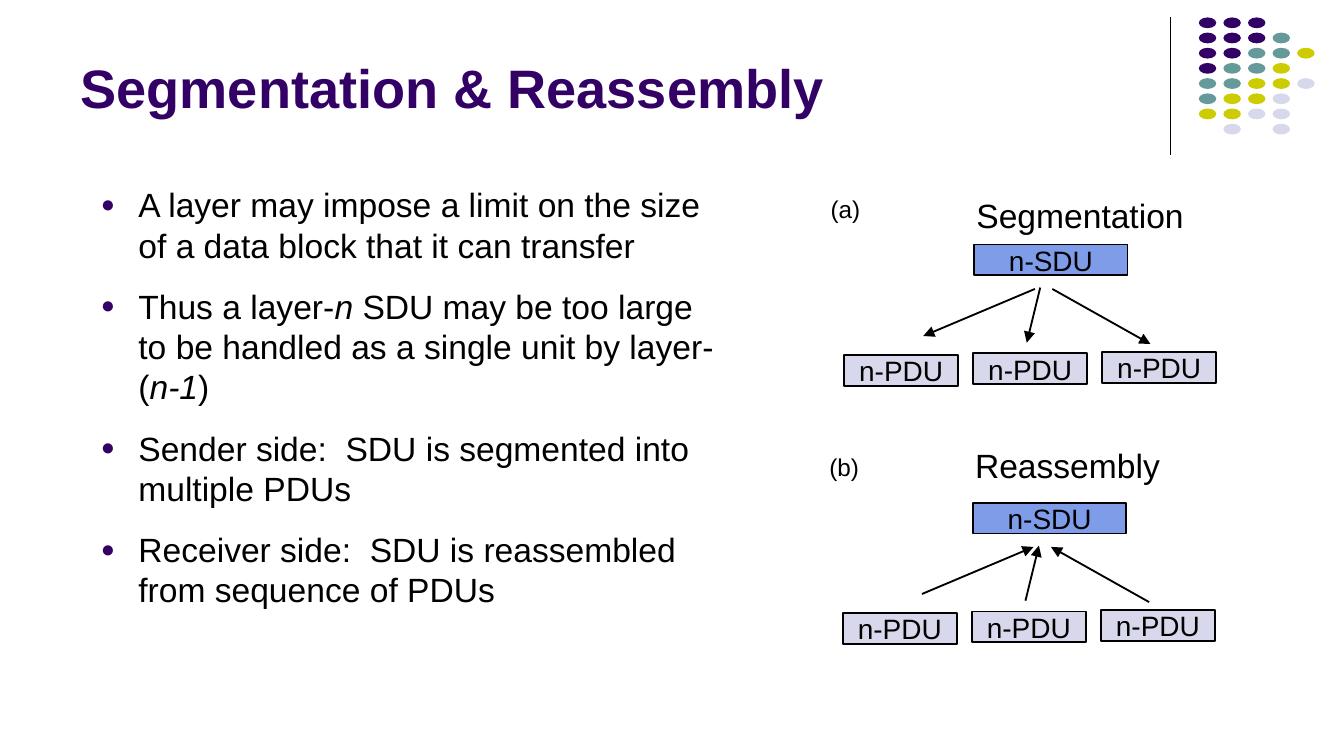
from dataclasses import dataclass
from lxml.etree import SubElement as Sub
from pptx import Presentation
from pptx.dml.color import RGBColor as Rgb
from pptx.enum.shapes import MSO_CONNECTOR as Link, MSO_SHAPE as Form
from pptx.enum.text import MSO_ANCHOR as Anchor, MSO_AUTO_SIZE as Fit, PP_ALIGN as Align
from pptx.oxml.ns import qn
from pptx.util import Inches, Pt


@dataclass(frozen=True)
class Theme:
    """Colours, font and type sizes of the slide."""
    font: str = "Arial"
    ink: str = "000000"
    plum: str = "330066"
    teal: str = "669999"
    lime: str = "CCCC00"
    pale: str = "D8D8EC"
    blue: str = "7E9CE8"
    title: int = 29
    body: int = 18
    box: int = 15
    label: int = 13


@dataclass(frozen=True)
class Box:
    """An area in grid cells, 100 columns to the slide's width."""
    x: float
    y: float
    w: float
    h: float

    def sub(self, x, y, w=0, h=0):
        """Return an area placed from this one's corner."""
        return Box(self.x + x, self.y + y, w, h)

    def size(self):
        """Return left, top, width and height as lengths."""
        return [Inches(n / 10) for n in (self.x, self.y, self.w, self.h)]


T = Theme()
POINTS = [
    "A layer may impose a limit on the size of a data block that it can transfer",
    "Thus a layer-*n* SDU may be too large to be handled as a single unit by layer-(*n-1*)",
    "Sender side:  SDU is segmented into multiple PDUs",
    "Receiver side:  SDU is reassembled from sequence of PDUs",
]
DOTS = ["PPP", "PPPT", "PPTTL", "PTTL", "TTLLW", "TLLW", "LLWW", " W W"]
HUES = {"P": T.plum, "T": T.teal, "L": T.lime, "W": T.pale}
RAYS = [((16.3, 7.6), (8, 11.1)), ((16.7, 7.5), (15.7, 11.6)), ((17.6, 7.6), (24.9, 11.7))]


def bullet(para):
    """Give a paragraph a hanging round bullet."""
    props = para._p.get_or_add_pPr()
    props.set("marL", str(Inches(0.28)))
    props.set("indent", str(-Inches(0.28)))
    Sub(Sub(props, qn("a:buClr")), qn("a:srgbClr")).set("val", T.plum)
    Sub(props, qn("a:buSzPct")).set("val", "70000")
    Sub(props, qn("a:buFont")).set("typeface", T.font)
    Sub(props, qn("a:buChar")).set("char", "●")


def write(frame, *lines, size, color=T.ink, bold=False, align=Align.LEFT, anchor=Anchor.TOP,
          wrap=True, inset=(0.1, 0.05), dots=False, gap=0):
    """Fill a frame with lines, where stars enclose italics."""
    frame.word_wrap, frame.auto_size, frame.vertical_anchor = wrap, Fit.NONE, anchor
    frame.margin_left = frame.margin_right = Inches(inset[0])
    frame.margin_top = frame.margin_bottom = Inches(inset[1])
    for row, line in enumerate(lines):
        para = frame.add_paragraph() if row else frame.paragraphs[0]
        if dots:
            bullet(para)
        para.alignment = align
        para.space_before = Pt(gap if row else 0)
        for part, words in enumerate(line.split("*")):
            run = para.add_run()
            run.text = words
            font = run.font
            font.name, font.size, font.bold = T.font, Pt(size), bold
            font.italic = part % 2 == 1
            font.color.rgb = Rgb.from_string(color)


def place(holder, box):
    """Move a placeholder to a box and return its frame."""
    holder.left, holder.top, holder.width, holder.height = box.size()
    return holder.text_frame


def note(slide, box, words, **style):
    """Add a one-line text box."""
    write(slide.shapes.add_textbox(*box.size()).text_frame, words, wrap=False, **style)


def shape(slide, form, box, fill, edge=False):
    """Add a flat shape, with a thin outline if asked."""
    item = slide.shapes.add_shape(form, *box.size())
    item.shadow.inherit = False
    item.fill.solid()
    item.fill.fore_color.rgb = Rgb.from_string(fill)
    if edge:
        item.line.color.rgb, item.line.width = Rgb.from_string(T.ink), Pt(1)
    else:
        item.line.fill.background()
    return item


def unit(slide, box, words, fill):
    """Add an outlined data unit with its name."""
    write(shape(slide, Form.RECTANGLE, box, fill, True).text_frame, words, size=T.box,
          align=Align.CENTER, anchor=Anchor.MIDDLE, wrap=False, inset=(0.07, 0))


def rule(slide, start, end, width=1, tip=None):
    """Draw a line between two areas' corners, with an optional arrow tip."""
    line = slide.shapes.add_connector(Link.STRAIGHT, *start.size()[:2], *end.size()[:2])
    line.line.color.rgb, line.line.width = Rgb.from_string(T.ink), Pt(width)
    if tip:
        Sub(line.line._get_or_add_ln(), qn(tip)).set("type", "triangle")
    Sub(line._element.spPr, qn("a:effectLst"))


def corner(slide, box):
    """Draw the upright rule and the dot pattern."""
    rule(slide, box, box.sub(0, box.h), 0.75)
    for row, marks in enumerate(DOTS):
        for col, mark in enumerate(marks):
            if mark in HUES:
                spot = box.sub(2.1 + col * 1.83, row * 1.13, 1.3, 0.8)
                shape(slide, Form.OVAL, spot, HUES[mark])


def panel(slide, box, label, head, rise, tip):
    """Draw one diagram that links an SDU and its PDUs."""
    note(slide, box.sub(0.1, 0, 4.2, 3.2), label, size=T.label, align=Align.CENTER,
         anchor=Anchor.MIDDLE)
    note(slide, box.sub(11.25, rise, 16.9, 3.7), head, size=T.body, inset=(0.07, 0.04))
    unit(slide, box.sub(11.8, 4.3, 11.4, 2.3), "n-SDU", T.blue)
    for col, (start, end) in enumerate(RAYS):
        unit(slide, box.sub(2.1 + col * 9.6, 12.5 - col * 0.1, 8.5, 2.3), "n-PDU", T.pale)
        rule(slide, box.sub(*start), box.sub(*end), tip=tip)


def main():
    """Build and save the slide."""
    deck = Presentation()
    deck.slide_width = Inches(10)
    deck.slide_height = deck.slide_width * 9 // 16
    slide = deck.slides.add_slide(deck.slide_layouts[1])
    title, body = slide.placeholders
    write(place(title, Box(5, 1, 82.5, 8.4)), "Segmentation & Reassembly", size=T.title,
          color=T.plum, bold=True, anchor=Anchor.BOTTOM)
    write(place(body, Box(6.5, 13.2, 48.4, 35.1)), *POINTS, size=T.body, dots=True, gap=11.2)
    corner(slide, Box(87.1, 1.3, 10.7, 10.2))
    panel(slide, Box(60.7, 13.9, 29.8, 14.8), "(a)", "Segmentation", 0.2, "a:tailEnd")
    panel(slide, Box(60.6, 33.1, 29.8, 14.8), "(b)", "Reassembly", -0.4, "a:headEnd")
    deck.save("out.pptx")


if __name__ == "__main__":
    main()
